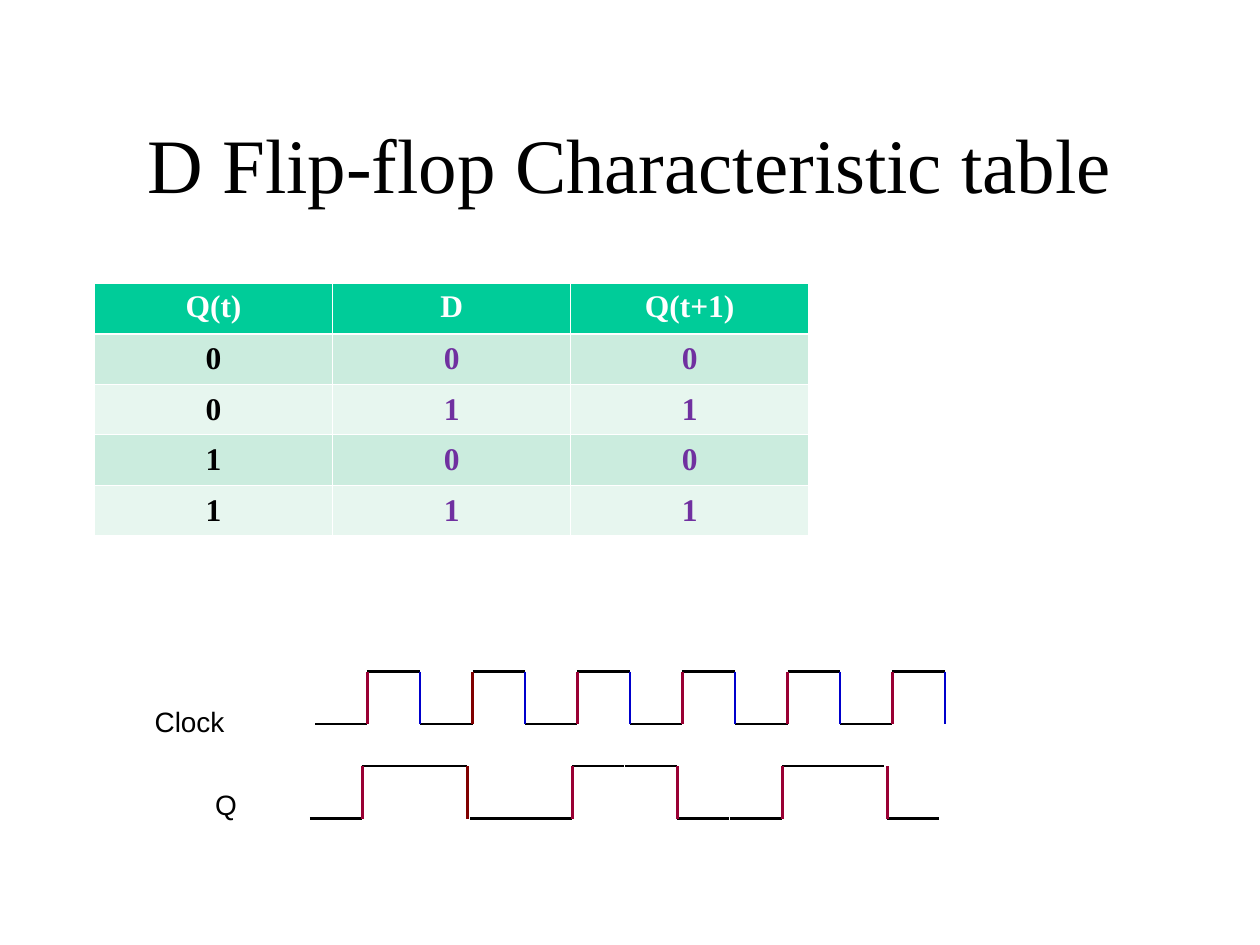
from dataclasses import dataclass

from lxml import etree
from pptx import Presentation
from pptx.dml.color import RGBColor
from pptx.enum.shapes import MSO_CONNECTOR
from pptx.enum.text import MSO_ANCHOR, PP_ALIGN
from pptx.oxml.ns import qn
from pptx.util import Inches, Pt

STRAIGHT = MSO_CONNECTOR.STRAIGHT
CENTER = PP_ALIGN.CENTER
TOP, MIDDLE = MSO_ANCHOR.TOP, MSO_ANCHOR.MIDDLE

COLORS = {
    "black": "000000",
    "white": "FFFFFF",
    "header": "00CC99",
    "band_dark": "CBECDE",
    "band_light": "E7F6EF",
    "purple": "7030A0",
    "rise": "990033",
    "maroon": "800000",
    "fall": "0000CC",
}
SERIF, SANS = "Times New Roman", "Arial"
STEP = 5 / 12  # half a clock period, also the height of a pulse
TABLE_ROWS = [
    ("Q(t)", "D", "Q(t+1)"),
    ("0", "0", "0"),
    ("0", "1", "1"),
    ("1", "0", "0"),
    ("1", "1", "1"),
]


@dataclass
class Level:
    left: float
    high: bool
    steps: int = 1


@dataclass
class Edge:
    x: float
    color: str


@dataclass
class Signal:
    name: str
    label_box: tuple[float, float, float, float]
    top: float
    levels: list[Level]
    edges: list[Edge]


def rgb(name: str) -> RGBColor:
    return RGBColor.from_string(COLORS[name])


def style_text(tf, font: str, size: float, color: str, bold: bool = False) -> None:
    p = tf.paragraphs[0]
    p.alignment = CENTER
    for r in p.runs:
        r.font.name = font
        r.font.size = Pt(size)
        r.font.bold = bold
        r.font.color.rgb = rgb(color)


def add_line(slide, x1: float, y1: float, x2: float, y2: float, color: str) -> None:
    line = slide.shapes.add_connector(
        STRAIGHT, Inches(x1), Inches(y1), Inches(x2), Inches(y2))
    line.line.color.rgb = rgb(color)
    line.line.width = Pt(1.5)
    etree.SubElement(line._element.spPr, qn("a:effectLst"))


def set_border(cell, side: str, width: float) -> None:
    tc_pr = cell._tc.get_or_add_tcPr()
    ln = etree.SubElement(tc_pr, qn(f"a:ln{side}"), w=str(Pt(width)))
    fill = etree.SubElement(ln, qn("a:solidFill"))
    etree.SubElement(fill, qn("a:srgbClr"), val=COLORS["white"])


def add_characteristic_table(slide) -> None:
    table = slide.shapes.add_table(
        len(TABLE_ROWS), len(TABLE_ROWS[0]),
        Inches(0.75), Inches(2.25), Inches(5.67), Inches(2)).table
    for row, values in enumerate(TABLE_ROWS):
        is_header = row == 0
        if is_header:
            fill = "header"
        else:
            fill = "band_dark" if row % 2 else "band_light"
        for col, value in enumerate(values):
            cell = table.cell(row, col)
            for side in "LRTB":
                heavy = (row, side) in ((0, "B"), (1, "T"))
                set_border(cell, side, 1.47 if heavy else 0.45)
            cell.fill.solid()
            cell.fill.fore_color.rgb = rgb(fill)
            cell.vertical_anchor = TOP if is_header else MIDDLE
            cell.text_frame.text = value
            body_color = "purple" if col else "black"
            style_text(cell.text_frame, SERIF, 18,
                       "white" if is_header else body_color, bold=True)


def add_signal(slide, signal: Signal) -> None:
    """Draw the label, the level lines and the edges of one waveform."""
    box = slide.shapes.add_textbox(*map(Inches, signal.label_box))
    tf = box.text_frame
    tf.word_wrap = True
    tf.text = signal.name
    tf.paragraphs[0].space_before = Pt(10)
    style_text(tf, SANS, 16, "black")

    bottom = signal.top + STEP
    for level in signal.levels:
        y = signal.top if level.high else bottom
        add_line(slide, level.left, y, level.left + level.steps * STEP, y, "black")
    for edge in signal.edges:
        add_line(slide, edge.x, signal.top, edge.x, bottom, edge.color)


def clock_signal() -> Signal:
    left = 2.5
    levels = [Level(left + i * STEP, i % 2 == 1) for i in range(12)]
    edges = [Edge(left + i * STEP, "rise" if i % 2 else "fall")
             for i in range(1, 13)]
    edges[2].color = "maroon"
    return Signal("Clock", (0.67, 5.54, 1.67, 0.37), 5.33, levels, edges)


def q_signal() -> Signal:
    left = 2.46
    levels = [
        Level(2.46, False),
        Level(2.87, True, steps=2),
        Level(3.73, False), Level(4.12, False),
        Level(4.54, True), Level(4.96, True),
        Level(5.37, False), Level(5.79, False),
        Level(6.21, True), Level(6.6, True),
        Level(7.04, False),
    ]
    edges = [Edge(left + i * STEP, "rise") for i in range(1, 12, 2)]
    edges[1].color = "maroon"
    return Signal("Q", (0.88, 6.2, 1.83, 0.37), 6.08, levels, edges)


def main() -> None:
    prs = Presentation()
    prs.slide_width, prs.slide_height = Inches(10), Inches(7.5)
    s = prs.slides.add_slide(prs.slide_layouts[5])

    title = s.shapes.title
    title.left, title.top = Inches(0.75), Inches(0.67)
    title.width, title.height = Inches(8.5), Inches(1.25)
    title.text_frame.text = "D Flip-flop Characteristic table"
    title.text_frame.vertical_anchor = MIDDLE
    style_text(title.text_frame, SERIF, 44, "black")

    add_characteristic_table(s)
    for signal in (clock_signal(), q_signal()):
        add_signal(s, signal)
    prs.save("out.pptx")


if __name__ == "__main__":
    main()
